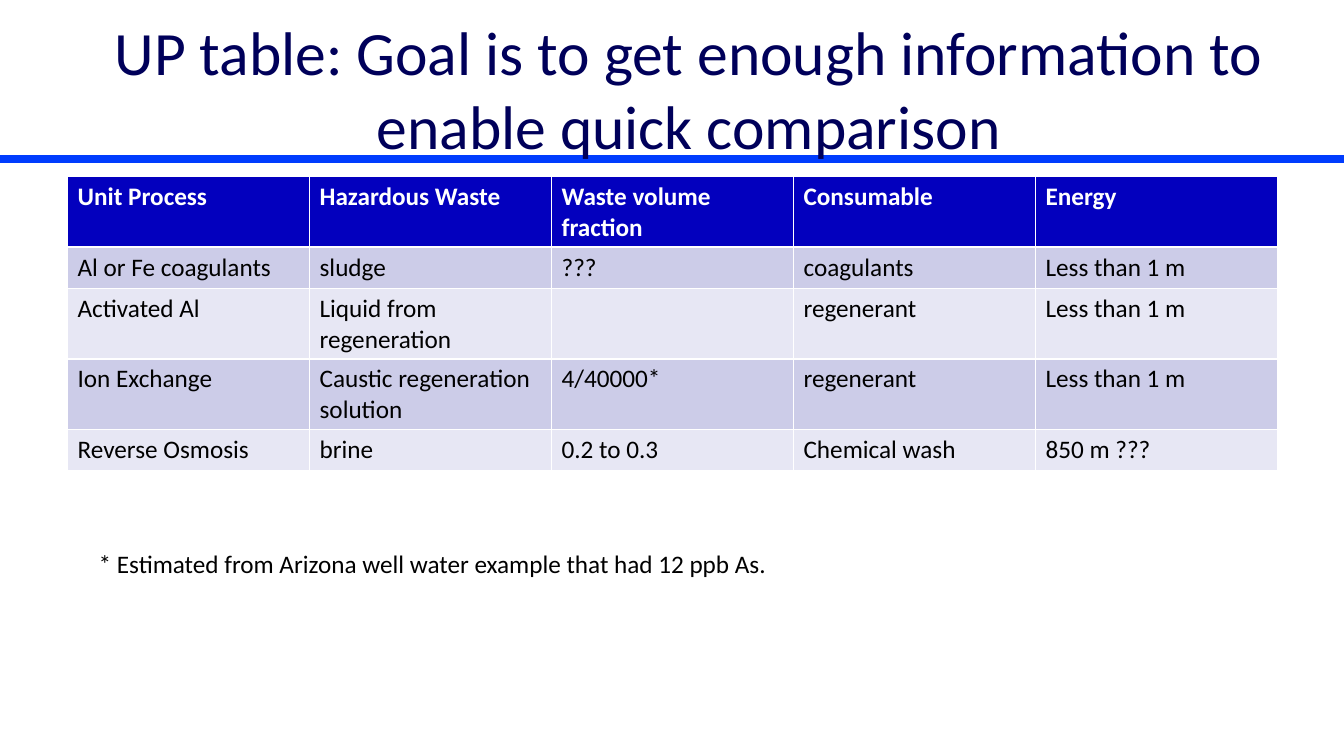
from lxml import etree
from pptx import Presentation
from pptx.dml.color import RGBColor
from pptx.enum.shapes import MSO_CONNECTOR
from pptx.enum.text import MSO_ANCHOR, PP_ALIGN
from pptx.oxml.ns import qn
from pptx.util import Inches, Pt

STRAIGHT = MSO_CONNECTOR.STRAIGHT
TOP, MIDDLE = MSO_ANCHOR.TOP, MSO_ANCHOR.MIDDLE
LEFT, CENTER = PP_ALIGN.LEFT, PP_ALIGN.CENTER

NAVY, BLUE, RULE_BLUE = "00005A", "0300BE", "003CFE"
BLACK, WHITE = "000000", "FFFFFF"
BANDS = ["CCCCE8", "E7E7F4"]

UNIT_PROCESSES = [
    ["Unit Process", "Hazardous Waste", "Waste volume fraction", "Consumable", "Energy"],
    ["Al or Fe coagulants", "sludge", "???", "coagulants", "Less than 1 m"],
    ["Activated Al", "Liquid from regeneration", "", "regenerant", "Less than 1 m"],
    ["Ion Exchange", "Caustic regeneration solution", "4/40000*", "regenerant", "Less than 1 m"],
    ["Reverse Osmosis", "brine", "0.2 to 0.3", "Chemical wash", "850 m ???"],
]


def rgb(color):
    return RGBColor.from_string(color)


class SlideBuilder:
    def __init__(self, s, font="Calibri", size=18):
        self.s = s
        self.font = font
        self.size = size

    def fill_frame(self, tf, text, color, align=LEFT, **font):
        """Put one paragraph in a text frame; font overrides the deck's style."""
        p = tf.paragraphs[0]
        p.alignment = align
        r = p.add_run()
        r.text = text
        r.font.color.rgb = rgb(color)
        style = {"name": self.font, "size": Pt(self.size), "bold": False, **font}
        for name, value in style.items():
            setattr(r.font, name, value)

    def text(self, box, text, color, align=LEFT, anchor=TOP, **font):
        tf = self.s.shapes.add_textbox(*map(Inches, box)).text_frame
        tf.word_wrap = True
        tf.vertical_anchor = anchor
        self.fill_frame(tf, text, color, align, **font)

    def line(self, start, end, color, width):
        ends = map(Inches, (*start, *end))
        line = self.s.shapes.add_connector(STRAIGHT, *ends)
        line.line.color.rgb = rgb(color)
        line.line.width = Pt(width)
        etree.SubElement(line._element.spPr, qn("a:effectLst"))

    def table(self, left, top, width, row_height, rows):
        """Add a table with a header row and banded body rows."""
        box = map(Inches, (left, top, width, row_height * len(rows)))
        table = self.s.shapes.add_table(len(rows), len(rows[0]), *box).table
        for i, row in enumerate(rows):
            header = i == 0
            fill = BLUE if header else BANDS[(i - 1) % 2]
            for j, text in enumerate(row):
                cell = table.cell(i, j)
                cell.fill.solid()
                cell.fill.fore_color.rgb = rgb(fill)
                if text:
                    self.fill_frame(cell.text_frame, text, WHITE if header else BLACK, bold=header)


def main():
    prs = Presentation()
    prs.slide_width, prs.slide_height = Inches(13.33), Inches(7.5)
    slide = SlideBuilder(prs.slides.add_slide(prs.slide_layouts[6]))

    slide.line((0, 1.58), (13.33, 1.58), RULE_BLUE, 6)
    slide.text((0.67, 0.25, 12.33, 1.25),
               "UP table: Goal is to get enough information to enable quick comparison",
               NAVY, CENTER, MIDDLE, size=Pt(44))
    slide.table(0.67, 1.75, 12, 0.41, UNIT_PROCESSES)
    slide.text((0.88, 5.39, 12.12, 0.4),
               "* Estimated from Arizona well water example that had 12 ppb As.", BLACK)

    prs.save("out.pptx")


if __name__ == "__main__":
    main()
